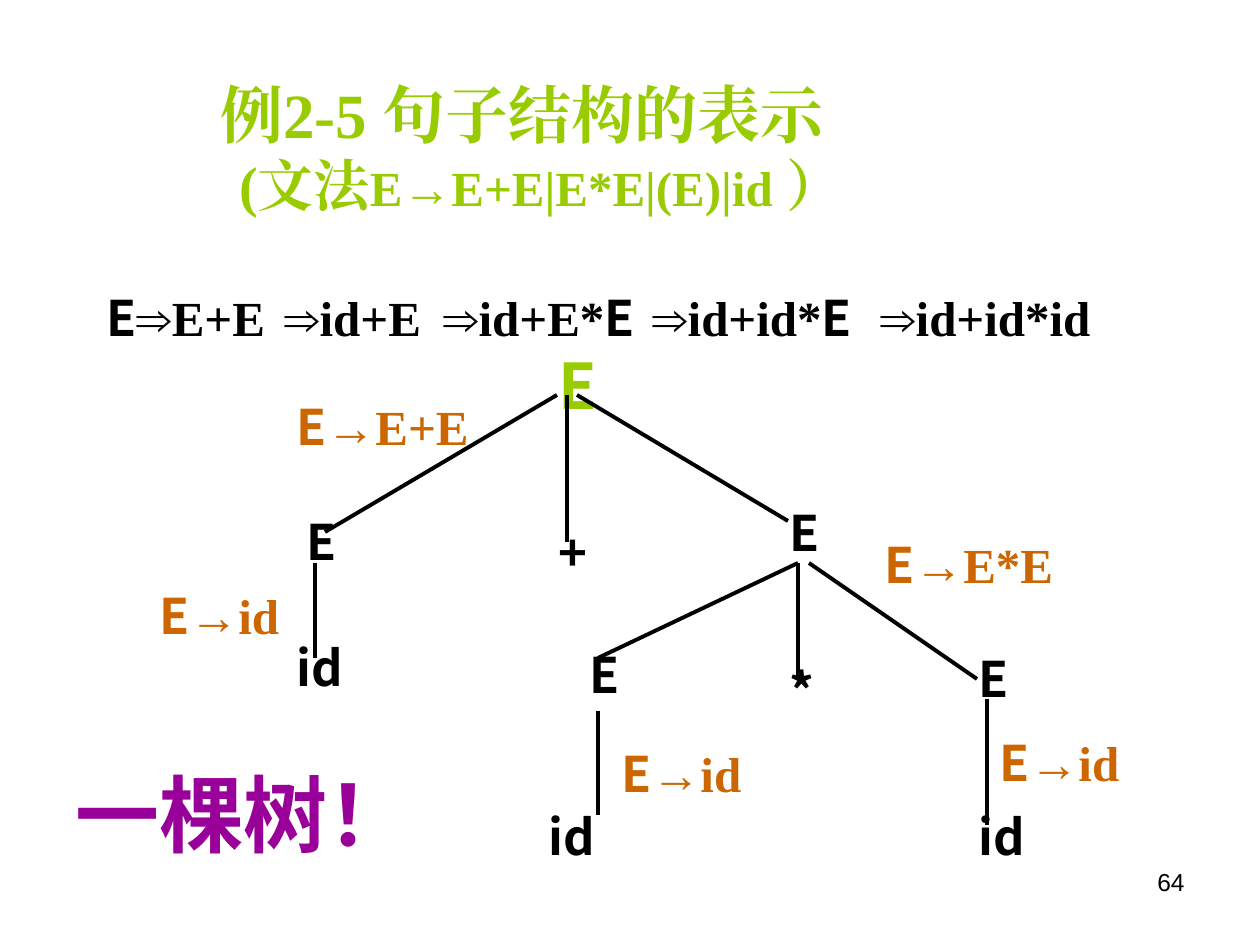
from lxml.etree import SubElement
from pptx import Presentation
from pptx.dml.color import RGBColor
from pptx.enum.shapes import MSO_CONNECTOR
from pptx.enum.text import MSO_ANCHOR, PP_ALIGN
from pptx.oxml.ns import qn
from pptx.util import Emu, Pt

COLORS = {"title": "99CC00", "text": "000000", "rule": "CC6600",
          "conclusion": "990099"}
SANS, SERIF, ARIAL = "Noto Sans CJK SC", "Times New Roman", "Arial"

# Each subtree: nodes (text, left, top), edges (x1, y1, x2, y2),
# rule (right side, left, top, width)
SUBTREES = [
    {"nodes": [("E", 294, 500), ("+", 546, 510), ("E", 777, 490)],
     "edges": [(325, 532, 557, 395), (788, 521, 577, 395), (567, 542, 567, 395)],
     "rule": ("E+E", 284, 384, 199)},
    {"nodes": [("id", 284, 626)],
     "edges": [(315, 658, 315, 563)],
     "rule": ("id", 147, 573, 147)},
    {"nodes": [("E", 577, 632), ("E", 966, 636), ("*", 777, 648)],
     "edges": [(598, 658, 798, 563), (798, 563, 798, 679), (809, 563, 977, 679)],
     "rule": ("E*E", 872, 522, 199)},
    {"nodes": [("id", 536, 794)],
     "edges": [(598, 711, 598, 815)],
     "rule": ("id", 609, 731, 147)},
    {"nodes": [("id", 966, 794)],
     "edges": [(987, 699, 987, 825)],
     "rule": ("id", 987, 721, 158)},
]

# Derivation steps: left, width, runs as (text, font)
STEPS = [
    (94, 208, [("E", SANS), ("⇒", ARIAL), ("E+E", SERIF)]),
    (272, 198, [("⇒", ARIAL), ("id+E", SERIF)]),
    (431, 268, [("⇒", ARIAL), ("id+E*", SERIF), ("E", SANS)]),
    (640, 258, [("⇒", ARIAL), ("id+id*", SERIF), ("E", SANS)]),
    (868, 307, [("⇒", ARIAL), ("id+id*id", SERIF)]),
]


def px(n):
    return Emu(round(n * 914400 / 126))


def add_run(p, text, font=SANS, size=28, color="text", bold=True):
    r = p.add_run()
    r.text = text
    r.font.name = font
    r.font.size = Pt(size)
    r.font.bold = bold
    r.font.color.rgb = RGBColor.from_string(COLORS[color])
    SubElement(r.font._element, qn("a:ea")).set("typeface", font)


def add_box(shapes, left, top, width, height):
    tf = shapes.add_textbox(px(left), px(top), px(width), px(height)).text_frame
    tf.word_wrap = True
    return tf


def add_text(shapes, runs, left, top, width=158, height=77, **fmt):
    p = add_box(shapes, left, top, width, height).paragraphs[0]
    p.line_spacing = 1.1
    for text, font in runs:
        add_run(p, text, font, **fmt)


def add_edge(shapes, x1, y1, x2, y2):
    line = shapes.add_connector(MSO_CONNECTOR.STRAIGHT,
                                px(x1), px(y1), px(x2), px(y2))
    line.line.width = Pt(2.25)
    line.line.color.rgb = RGBColor.from_string(COLORS["text"])
    SubElement(line._element.spPr, qn("a:effectLst"))


def add_subtree(shapes, nodes, edges, rule):
    for text, left, top in nodes:
        add_text(shapes, [(text, SANS)], left, top)
    for edge in edges:
        add_edge(shapes, *edge)
    right_side, left, top, width = rule
    add_text(shapes, [("E", SANS), ("→" + right_side, SERIF)],
             left, top, width, color="rule")


def add_title(shapes):
    tf = add_box(shapes, 86, 73, 872, 147)
    tf.vertical_anchor = MSO_ANCHOR.MIDDLE
    heading, grammar = tf.paragraphs[0], tf.add_paragraph()
    heading.alignment = grammar.alignment = PP_ALIGN.CENTER
    add_run(heading, "例2-5 句子结构的表示", SERIF, 36, "title")
    # The grammar line sits slightly right of the heading
    grammar._p.get_or_add_pPr().set("marL", str(px(38)))
    for text, size in [("(文法", 32), ("E→E+E|E*E|(E)|id", 28), (" ）", 32)]:
        add_run(grammar, text, SERIF, size, "title")


def add_page_number(shapes):
    p = add_box(shapes, 903, 861, 294, 66).paragraphs[0]
    p.alignment = PP_ALIGN.RIGHT
    add_run(p, "64", ARIAL, 14, bold=False)


def main():
    prs = Presentation()
    prs.slide_width, prs.slide_height = px(1260), px(945)
    s = prs.slides.add_slide(prs.slide_layouts[6])
    add_page_number(s.shapes)
    add_title(s.shapes)

    # Parse tree: root, then one group per expansion
    add_text(s.shapes, [("E", SANS)], 546, 333, height=96, size=36, color="title")
    for subtree in SUBTREES:
        add_subtree(s.shapes.add_group_shape().shapes, **subtree)

    # Derivation and conclusion
    for left, width, runs in STEPS:
        add_text(s.shapes, runs, left, 275, width)
    add_text(s.shapes, [("一棵树！", SANS)], 63, 746, 378, 123,
             size=48, color="conclusion")
    prs.save("out.pptx")


if __name__ == "__main__":
    main()
